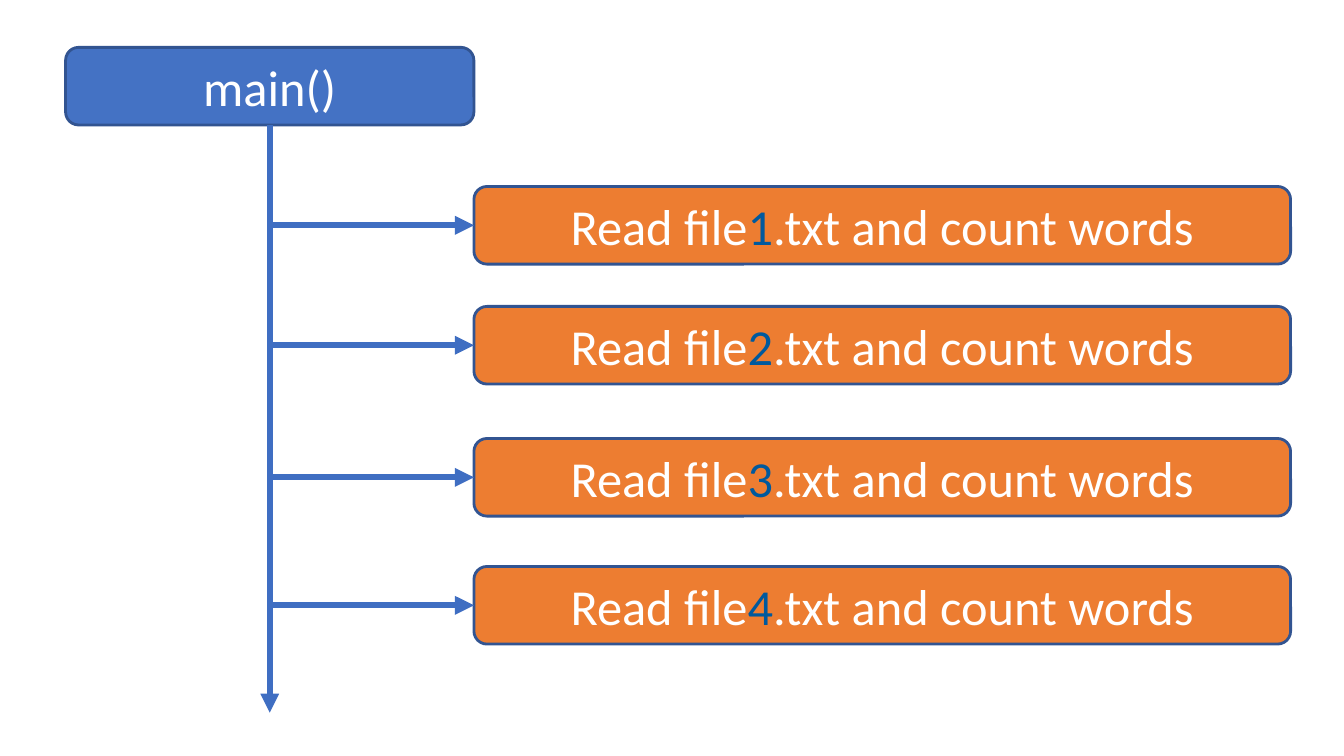
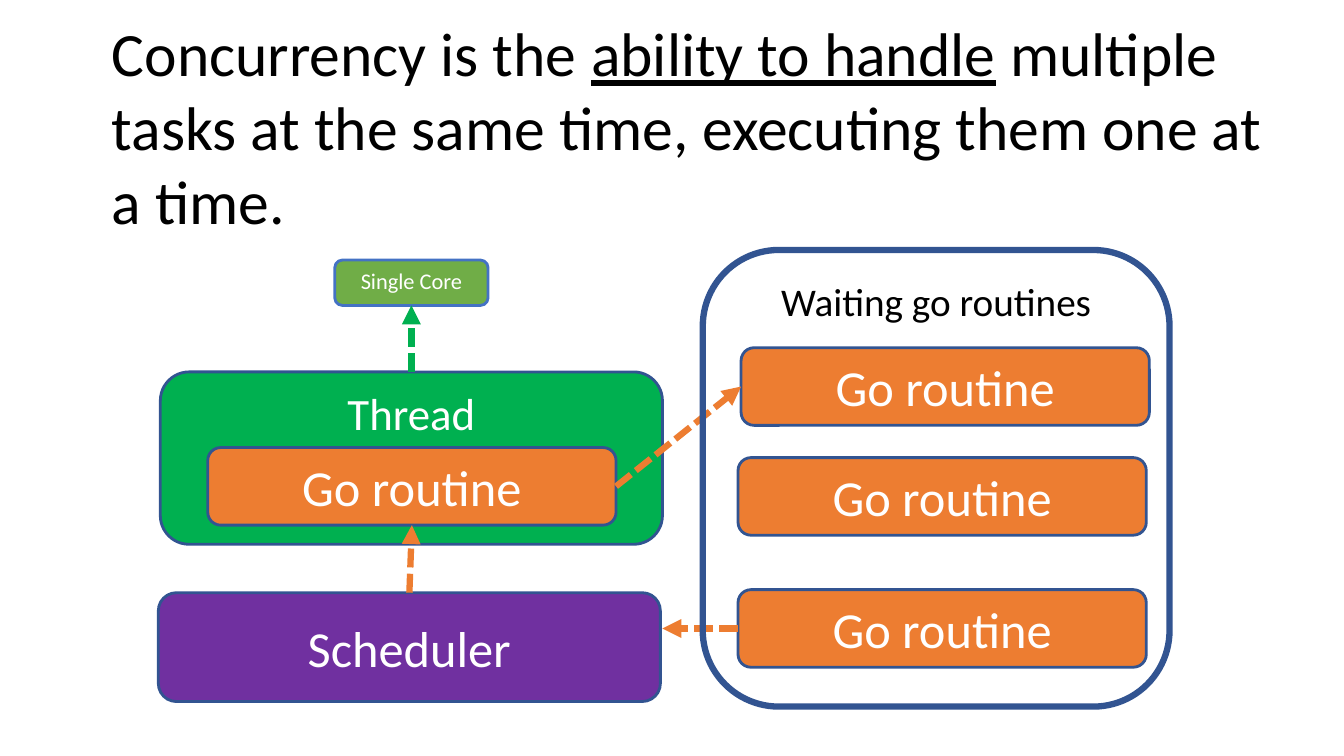
from collections import namedtuple

from lxml.etree import SubElement
from pptx import Presentation
from pptx.dml.color import RGBColor
from pptx.enum.dml import MSO_LINE
from pptx.enum.shapes import MSO_CONNECTOR as CONN, MSO_SHAPE as SHAPE
from pptx.enum.text import MSO_ANCHOR as ANCHOR, PP_ALIGN as ALIGN
from pptx.oxml.ns import qn
from pptx.util import Inches, Pt

FONT = "Calibri"
WHITE, BLACK = "FFFFFF", "000000"
BLUE, NAVY, ARROW_BLUE, DIGIT_BLUE = "4472C4", "325491", "3F6EC2", "00599D"
ORANGE, GREEN, LIME, PURPLE = "ED7D31", "00B050", "70AD47", "7030A0"
TOP, LEFT, BOTTOM, RIGHT = range(4)

Box = namedtuple("Box", "x y w h")


def rgb(value):
    return RGBColor.from_string(value)


def part(box, x, y, w, h):
    return Box(int(box.x + box.w * x / 100), int(box.y + box.h * y / 100),
               int(box.w * w / 100), int(box.h * h / 100))


def add_run(p, text, size, color, underline=None):
    r = p.add_run()
    r.text = text
    r.font.name = FONT
    r.font.size = Pt(size)
    r.font.color.rgb = rgb(color)
    r.font.underline = underline


def add_block(s, box, runs, fill, size=36, anchor=ANCHOR.MIDDLE, line=NAVY, width=2):
    sp = s.shapes.add_shape(SHAPE.ROUNDED_RECTANGLE, *box)
    sp.shadow.inherit = False
    if fill:
        sp.fill.solid()
        sp.fill.fore_color.rgb = rgb(fill)
    else:
        sp.fill.background()
    sp.line.color.rgb = rgb(line)
    sp.line.width = Pt(width)
    tf = sp.text_frame
    tf.word_wrap = True
    tf.vertical_anchor = anchor
    p = tf.paragraphs[0]
    p.alignment = ALIGN.CENTER
    for text, color in runs:
        add_run(p, text, size, color)
    return sp


def add_routine(s, box):
    return add_block(s, box, [("Go routine", WHITE)], ORANGE)


def add_arrow(s, start, end, color, begin=None, finish=None, dotted=False):
    cx = s.shapes.add_connector(CONN.STRAIGHT, *start, *end)
    if begin:
        cx.begin_connect(*begin)
    if finish:
        cx.end_connect(*finish)
    cx.line.color.rgb = rgb(color)
    cx.line.width = Pt(4.5)
    if dotted:
        cx.line.dash_style = MSO_LINE.SQUARE_DOT
    SubElement(cx.line._get_or_add_ln(), qn("a:tailEnd"), type="triangle")
    SubElement(cx._element.spPr, qn("a:effectLst"))


def join(s, a, a_side, b, b_side, color):
    add_arrow(s, (0, 0), (0, 0), color, (a, a_side), (b, b_side), dotted=True)


def add_sequence(s, box):
    third, row = 100 / 3, 11.67
    main = add_block(s, part(box, 0, 0, third, row), [("main()", WHITE)], BLUE)
    spine = box.x + box.w // 6
    add_arrow(s, (spine, box.y), (spine, box.y + box.h), ARROW_BLUE, (main, BOTTOM))
    for n, top in enumerate((20.91, 38.94, 58.79, 78.03), 1):
        runs = [("Read file", WHITE), (str(n), DIGIT_BLUE),
                (".txt and count words", WHITE)]
        step = add_block(s, part(box, third, top, 2 * third, row), runs, ORANGE)
        middle = step.top + step.height // 2
        add_arrow(s, (spine, middle), (step.left, middle), ARROW_BLUE,
                  finish=(step, LEFT))


def add_statement(s, box):
    tf = s.shapes.add_textbox(*box).text_frame
    tf.word_wrap = True
    p = tf.paragraphs[0]
    add_run(p, "Concurrency is the ", 44, BLACK)
    add_run(p, "ability to handle", 44, BLACK, True)
    add_run(p, " multiple tasks at the same time, executing them one at a time.",
            44, BLACK)


def add_worker(s, box):
    thread = add_block(s, part(box, 0.4, 25.34, 99.6, 39.04), [("Thread", WHITE)],
                       GREEN, 32, ANCHOR.TOP)
    running = add_routine(s, part(box, 9.8, 42.47, 81, 17.58))
    scheduler = add_block(s, part(box, 0, 75.34, 99.6, 24.66),
                          [("Scheduler", WHITE)], PURPLE)
    core = add_block(s, part(box, 35, 0, 30.4, 10.27), [("Single Core", WHITE)],
                     LIME, 16, ANCHOR.TOP, BLUE)
    join(s, thread, TOP, core, BOTTOM, GREEN)
    join(s, scheduler, TOP, running, BOTTOM, ORANGE)
    return running


def add_queue(s, box, running, worker_right):
    spots = ((8.21, 21.41), (7.56, 45.47), (7.56, 74.39))
    first, _, last = [add_routine(s, part(box, x, y, 87.47, 17)) for x, y in spots]
    join(s, running, RIGHT, first, LEFT, ORANGE)
    middle = last.top + last.height // 2
    add_arrow(s, (last.left, middle), (worker_right, middle), ORANGE,
              (last, LEFT), dotted=True)
    add_block(s, box, [("Waiting go routines", BLACK)], None, 28, ANCHOR.TOP, width=4.5)


def main():
    prs = Presentation()
    prs.slide_width, prs.slide_height = Inches(13.33), Inches(7.5)
    page = Box(0, 0, prs.slide_width, prs.slide_height)
    blank = prs.slide_layouts[6]

    add_sequence(prs.slides.add_slide(blank), part(page, 4.88, 6.27, 91.15, 88))

    s = prs.slides.add_slide(blank)
    worker = part(page, 11.78, 34.4, 37.51, 58.4)
    running = add_worker(s, worker)
    add_queue(s, part(page, 52.29, 33.07, 34.73, 60.4), running, worker.x + worker.w)
    add_statement(s, part(page, 7.58, 1.33, 87.17, 30.67))

    prs.save("out.pptx")


if __name__ == "__main__":
    main()
